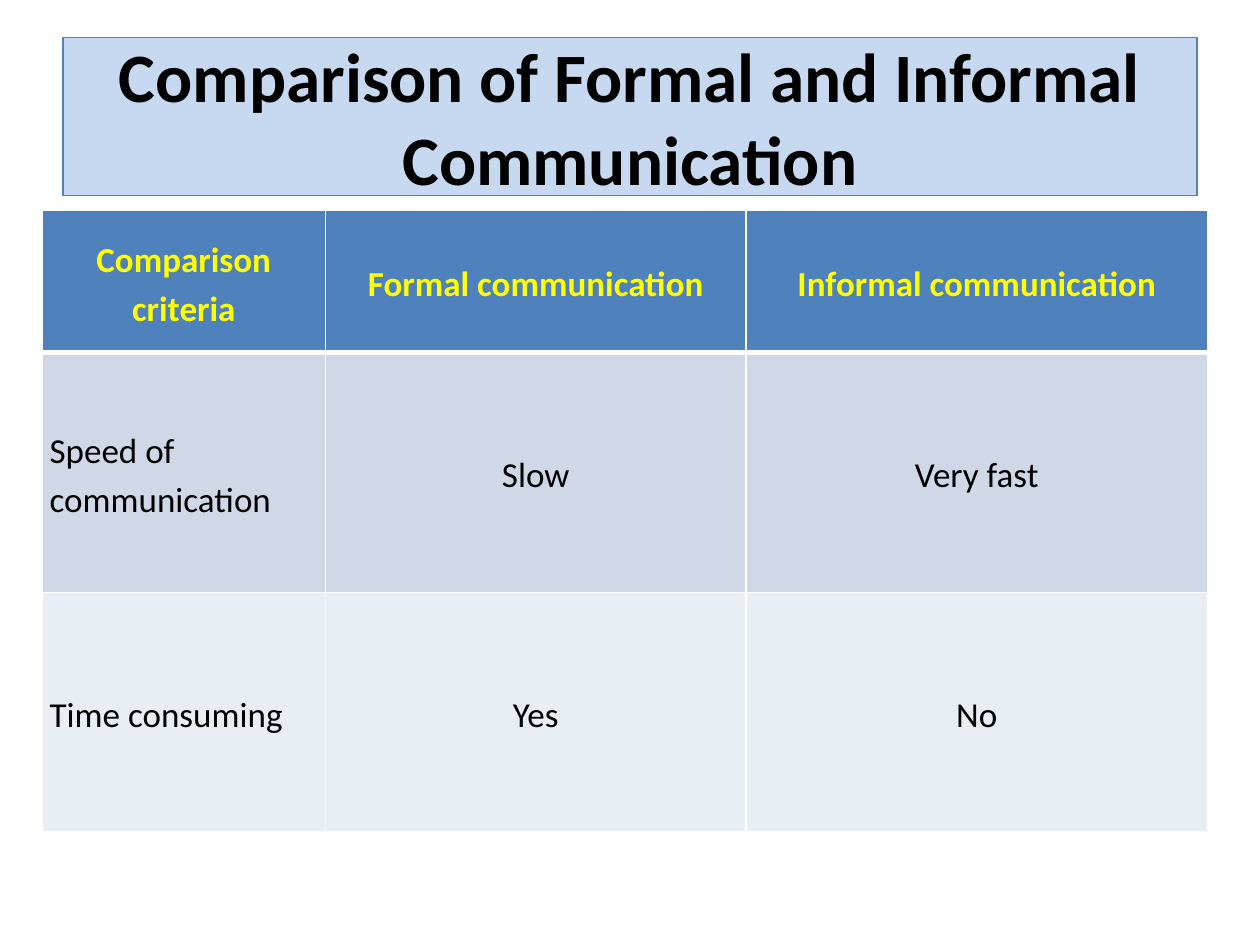
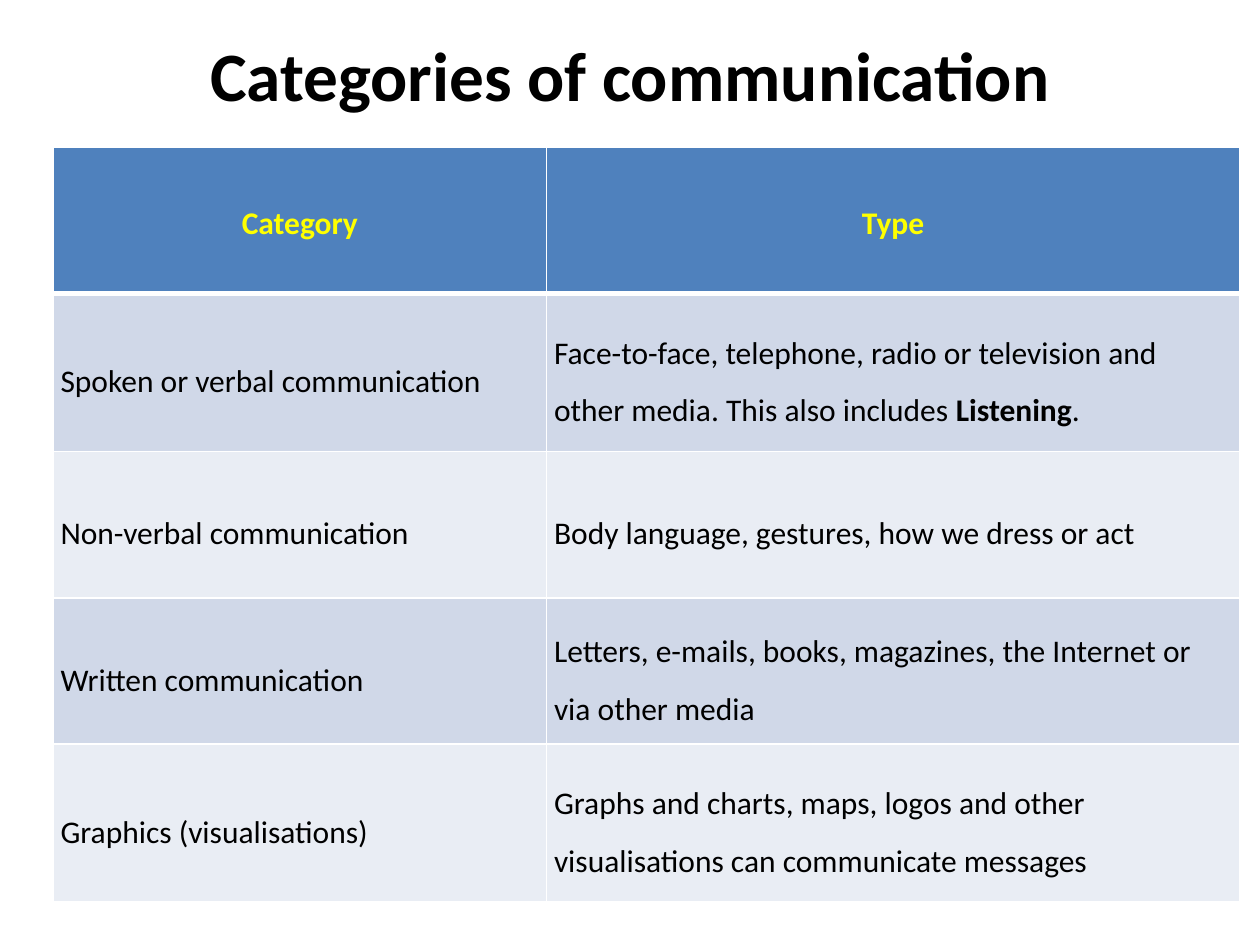
from lxml import etree
from pptx import Presentation
from pptx import util as u
from pptx.dml.color import RGBColor
from pptx.enum import shapes, text
from pptx.oxml.ns import qn

FONT = "Calibri"
BLACK, WHITE, YELLOW = "000000", "FFFFFF", "FFFF00"
BLUE, TITLE_FILL = "4F81BD", "C6D9F1"
BANDS = "D0D8E8", "E9EDF4"
CENTER, LEFT = text.PP_ALIGN.CENTER, text.PP_ALIGN.LEFT
TITLE_BOX = [u.Cm(v) for v in (1.27, 0.76, 22.86, 3.18)]

SLIDES = [
    dict(
        title="Comparison of Formal and Informal Communication",
        boxed=True, bottom_inset=0.13,
        left=0.85, top=4.24, cols=(5.71, 8.48, 9.3), rows=(2.87, 4.83, 4.83),
        size=20, spacing=1.15, aligns=(LEFT, CENTER, CENTER),
        cells=[
            ("Comparison criteria", "Formal communication", "Informal communication"),
            ("Speed of communication", "Slow", "Very fast"),
            ("Time consuming", "Yes", "No"),
        ],
    ),
    dict(
        title="Categories of communication",
        boxed=False, bottom_inset=1.83,
        left=1.07, top=2.97, cols=(9.95, 13.97), rows=(2.95, 3.18, 2.95, 2.95, 3.18),
        size=18, spacing=1.5, aligns=(LEFT, LEFT),
        cells=[
            ("Category", "Type"),
            ("Spoken or verbal communication",
             ["Face-to-face, telephone, radio or television and other media. "
              "This also includes\u00a0", ("Listening", True), "."]),
            ("Non-verbal communication", "Body language, gestures, how we dress or act"),
            ("Written communication",
             "Letters, e-mails, books, magazines, the Internet or via other media"),
            ("Graphics (visualisations)",
             "Graphs and charts, maps, logos and other visualisations "
             "can communicate messages"),
        ],
    ),
]


def rgb(value):
    return RGBColor.from_string(value)


def write(tf, content, size, color=BLACK, bold=False, align=LEFT, spacing=None):
    tf.word_wrap = True
    p = tf.paragraphs[0]
    p.alignment = align
    p.line_spacing = spacing
    for part in [content] if isinstance(content, str) else content:
        words, strong = (part, bold) if isinstance(part, str) else part
        r = p.add_run()
        r.text = words
        r.font.name, r.font.size, r.font.bold = FONT, u.Pt(size), strong
        r.font.color.rgb = rgb(color)


def add_title(s, item):
    sp = s.shapes.add_shape(shapes.MSO_SHAPE.RECTANGLE, *TITLE_BOX)
    sp.shadow.inherit = False
    if item["boxed"]:
        sp.fill.solid()
        sp.fill.fore_color.rgb = rgb(TITLE_FILL)
        sp.line.color.rgb = rgb(BLUE)
        sp.line.width = u.Pt(0.75)
    else:
        sp.fill.background()
        sp.line.fill.background()
    tf = sp.text_frame
    tf.vertical_anchor = text.MSO_ANCHOR.MIDDLE
    tf.margin_bottom = u.Cm(item["bottom_inset"])
    write(tf, item["title"], 39.6, bold=True, align=CENTER)


def set_borders(cell, **widths):
    tc_pr = cell._tc.get_or_add_tcPr()
    for side in "LRTB":
        width = u.Pt(widths.get(side, 1))
        ln = etree.SubElement(tc_pr, qn(f"a:ln{side}"), w=str(width))
        fill = etree.SubElement(ln, qn("a:solidFill"))
        etree.SubElement(fill, qn("a:srgbClr"), val=WHITE)


def add_table(s, item):
    cols, rows = item["cols"], item["rows"]
    box = [u.Cm(v) for v in (item["left"], item["top"], sum(cols), sum(rows))]
    table = s.shapes.add_table(len(rows), len(cols), *box).table
    for column, width in zip(table.columns, cols):
        column.width = u.Cm(width)
    for i, (row, height) in enumerate(zip(table.rows, rows)):
        row.height = u.Cm(height)
        header = i == 0
        for cell, content, align in zip(row.cells, item["cells"][i], item["aligns"]):
            set_borders(cell, B=3 if header else 1, T=3 if i == 1 else 1)
            cell.fill.solid()
            cell.fill.fore_color.rgb = rgb(BLUE if header else BANDS[(i - 1) % 2])
            cell.vertical_anchor = text.MSO_ANCHOR.MIDDLE
            cell.margin_left = cell.margin_right = u.Cm(0.15)
            cell.margin_top = cell.margin_bottom = u.Cm(0.15)
            write(cell.text_frame, content, item["size"],
                  color=YELLOW if header else BLACK, bold=header,
                  align=CENTER if header else align,
                  spacing=1.15 if header else item["spacing"])


def main():
    prs = Presentation()
    prs.slide_width, prs.slide_height = u.Cm(25.4), u.Cm(19.05)
    for item in SLIDES:
        s = prs.slides.add_slide(prs.slide_layouts[6])
        add_title(s, item)
        add_table(s, item)
    prs.save("out.pptx")


if __name__ == "__main__":
    main()
